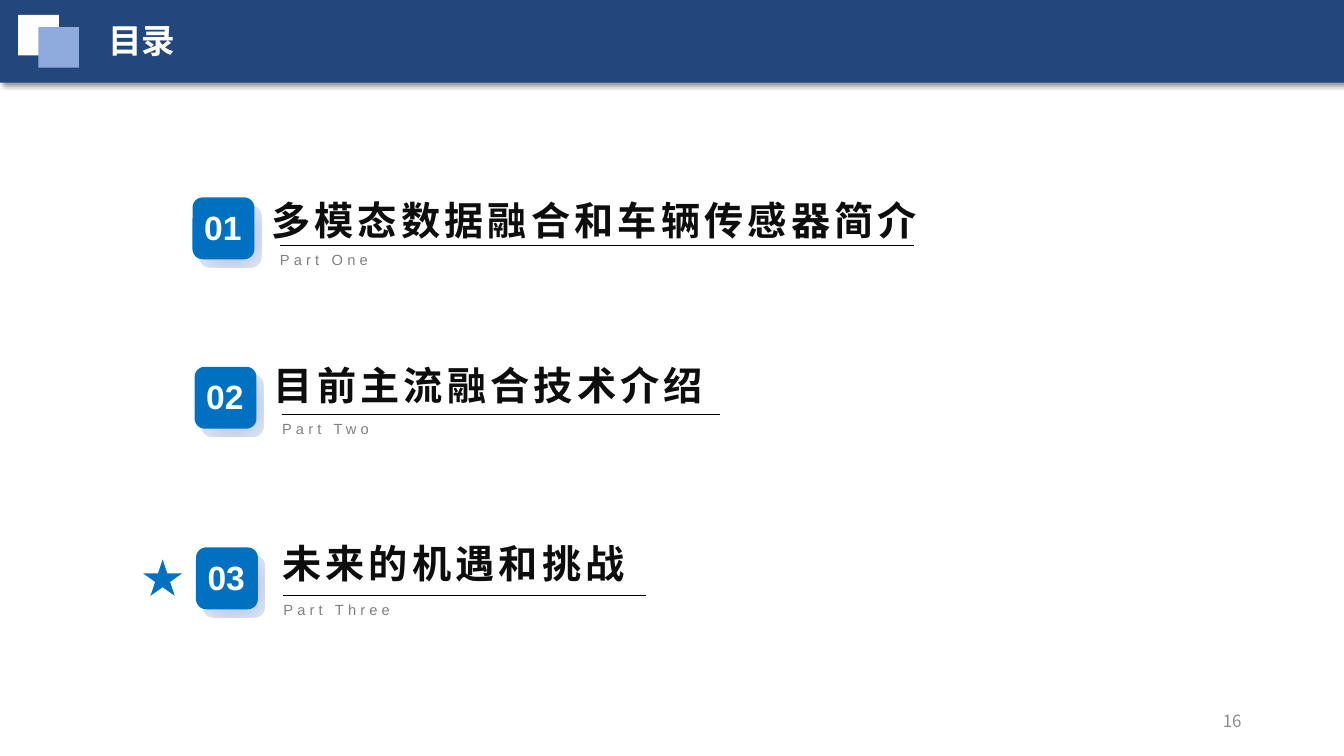
from lxml import etree
from pptx import Presentation
from pptx.dml.color import RGBColor
from pptx.enum import shapes, text
from pptx.oxml import ns, parse_xml
from pptx.util import Pt

TITLE = "目录"
PAGE_NUMBER = "16"
# number, heading, caption, badge (left, top), heading (left, top, width), rule length
SECTIONS = [
    ("01", "多模态数据融合和车辆传感器简介", "Part One", (137.5, 141), (186.5, 136.8, 578), 453),
    ("02", "目前主流融合技术介绍", "Part Two", (139, 262), (188.6, 254.2, 371.5), 313),
    ("03", "未来的机遇和挑战", "Part Three", (140, 391), (194.4, 381.6, 277), 259),
]
COLORS = {
    "banner": "22477D", "white": "FFFFFF", "square": "8FAADC", "badge": "0070C0",
    "heading": "0D0D0D", "caption": "808080", "number": "8C8C8C", "rule": "000000",
}
GLOW = [(0, "94B1E1"), (50, "BFCEEA"), (100, "E0E7F4")]
CJK, LATIN = "Noto Sans CJK SC", "Arial"
BADGE = 44.2
DRAWING = ns.nsdecls("a")


def color(name):
    return RGBColor.from_string(COLORS[name])


def add_block(kind, left, top, width, height, fill):
    block = page.shapes.add_shape(kind, Pt(left), Pt(top), Pt(width), Pt(height))
    block.shadow.inherit = False
    block.fill.solid()
    block.fill.fore_color.rgb = color(fill)
    block.line.fill.background()
    return block


def add_badge(left, top):
    badge = add_block(shapes.MSO_SHAPE.ROUNDED_RECTANGLE, left, top, BADGE, BADGE, "badge")
    badge.adjustments[0] = 0.164
    return badge


def set_text(box, words, size, fill, font=LATIN, bold=False, spacing=0,
             align=text.PP_ALIGN.LEFT, anchor=text.MSO_ANCHOR.TOP, wrap=True):
    frame = box.text_frame
    frame.text = words
    frame.word_wrap = wrap
    frame.auto_size = text.MSO_AUTO_SIZE.NONE
    frame.vertical_anchor = anchor
    para = frame.paragraphs[0]
    para.alignment = align
    style = para.font
    style.size, style.bold, style.name = Pt(size), bold, font
    style.color.rgb = color(fill)
    properties = style._element if hasattr(style, "_element") else style._rPr
    properties.set("spc", str(spacing * 100))
    properties.find(ns.qn("a:latin")).addnext(
        parse_xml(f'<a:ea {DRAWING} typeface="{CJK}"/>'))


def add_text(left, top, width, height, *args, **options):
    box = page.shapes.add_textbox(Pt(left), Pt(top), Pt(width), Pt(height))
    set_text(box, *args, **options)


def add_glow(shape):
    stops = "".join(f'<a:gs pos="{pos * 1000}"><a:srgbClr val="{tone}"/></a:gs>'
                    for pos, tone in GLOW)
    gradient = parse_xml(
        f'<a:gradFill {DRAWING}><a:gsLst>{stops}</a:gsLst><a:path path="circle">'
        '<a:fillToRect l="50000" t="50000" r="50000" b="50000"/></a:path></a:gradFill>')
    solid = shape._element.spPr.find(ns.qn("a:solidFill"))
    solid.getparent().replace(solid, gradient)


deck = Presentation()
deck.slide_width, deck.slide_height = Pt(960), Pt(540)
page = deck.slides.add_slide(deck.slide_layouts[5])

# Banner with its shadow and two squares
RECTANGLE = shapes.MSO_SHAPE.RECTANGLE
banner = add_block(RECTANGLE, 0, 0, 960, 59, "banner")
effects = banner._element.spPr.find(ns.qn("a:effectLst"))
effects.append(parse_xml(
    f'<a:outerShdw {DRAWING} blurRad="{Pt(4)}" dist="{Pt(3)}" dir="2700000" algn="tl" '
    'rotWithShape="0"><a:srgbClr val="000000"><a:alpha val="40000"/></a:srgbClr></a:outerShdw>'))
add_block(RECTANGLE, 13, 10.6, 29, 29, "white")
add_block(RECTANGLE, 27.4, 19.4, 29, 29, "square")

# Title, brought in front of the banner
title = page.shapes.title
title.left, title.top, title.width, title.height = Pt(70), Pt(10.8), Pt(316), Pt(36)
set_text(title, TITLE, 24, "white", font=CJK, bold=True)
page.shapes._spTree.append(title._element)

# Page number
add_text(678, 500.4, 216, 28.8, PAGE_NUMBER, 12, "number", font=CJK,
         align=text.PP_ALIGN.RIGHT, anchor=text.MSO_ANCHOR.MIDDLE)

# Sections: caption, rule, badge and heading
for number, heading, caption, (left, top), (head_left, head_top, head_width), length in SECTIONS:
    add_text(left + 55.4, top + 34.6, 222, 20, caption, 10.5, "caption", spacing=3)
    start, level = Pt(left + 62.2), Pt(top + 34)
    rule = page.shapes.add_connector(
        shapes.MSO_CONNECTOR.STRAIGHT, start, level, start + Pt(length), level)
    rule.line.color.rgb = color("rule")
    rule.line.width = Pt(0.25)
    etree.SubElement(rule._element.spPr, ns.qn("a:effectLst"))
    add_glow(add_badge(left + 5, top + 5.8))
    add_badge(left, top)
    add_text(left + 1.2, top + 3.2, 41.8, 36, number, 24, "white", bold=True, wrap=False)
    add_text(head_left, head_top, head_width, 41, heading, 28, "heading", bold=True, spacing=3)

# Star marking the current section
add_block(shapes.MSO_SHAPE.STAR_5_POINT, 102.2, 399.6, 28, 26, "badge")

deck.save("out.pptx")
